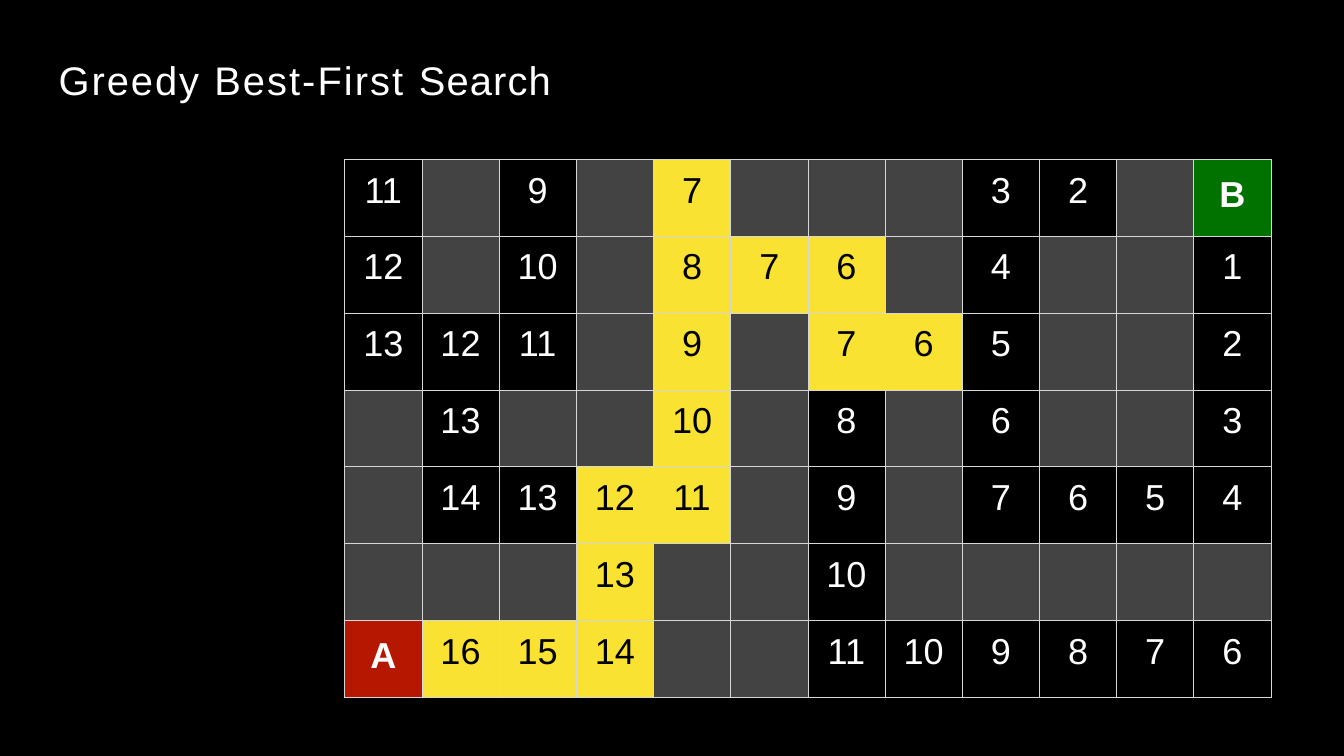
from dataclasses import dataclass

from lxml.etree import SubElement
from pptx import Presentation
from pptx.dml.color import RGBColor
from pptx.enum.text import MSO_ANCHOR as Anchor, PP_ALIGN as Align
from pptx.oxml.ns import qn
from pptx.util import Emu, Inches, Pt

SLIDE_W, SLIDE_H = Inches(21.99), Inches(12.37)
FONT = "Arial"
COLORS = {
    "black": "000000",
    "white": "FFFFFF",
    "wall": "434343",
    "explored": "FAE232",
    "start": "B51700",
    "goal": "017100",
    "grid": "D6D7D6",
}

# "#" is a wall, "*" marks an explored square, numbers are distances to B.
MAZE = """
11  #   9   #   *7  #   #   #   3   2   #   B
12  #   10  #   *8  *7  *6  #   4   #   #   1
13  12  11  #   *9  #   *7  *6  5   #   #   2
#   13  #   #   *10 #   8   #   6   #   #   3
#   14  13  *12 *11 #   9   #   7   6   5   4
#   #   #   *13 #   #   10  #   #   #   #   #
A   *16 *15 *14 #   #   11  10  9   8   7   6
"""


@dataclass(frozen=True)
class Square:
    text: str
    fill: str = "black"
    color: str = "white"
    bold: bool = False
    top: float = 0.18


def to_square(token: str) -> Square:
    if token == "#":
        return Square("", "wall")
    if token.startswith("*"):
        return Square(token[1:], "explored", "black")
    if token in ("A", "B"):
        return Square(token, "start" if token == "A" else "goal", bold=True, top=0.26)
    return Square(token)


def rgb(name: str) -> RGBColor:
    return RGBColor.from_string(COLORS[name])


def add_text(p, text: str, *, size: float, color: str = "white",
             bold: bool = False, spacing: float = 0) -> None:
    """Append a run; spacing is the letter spacing in points."""
    r = p.add_run()
    r.text = text
    r.font.name, r.font.size, r.font.bold = FONT, Pt(size), bold
    r.font.color.rgb = rgb(color)
    if spacing:
        r.font._element.set("spc", str(round(spacing * 100)))


def set_insets(target, top: float) -> None:
    target.margin_left = target.margin_right = target.margin_bottom = 0
    target.margin_top = Inches(top)


def add_borders(cell) -> None:
    tc_pr = cell._tc.get_or_add_tcPr()
    for side in ("lnL", "lnR", "lnT", "lnB"):
        ln = SubElement(tc_pr, qn(f"a:{side}"), w=str(Pt(1)))
        fill = SubElement(ln, qn("a:solidFill"))
        SubElement(fill, qn("a:srgbClr"), val=COLORS["grid"])


def draw_square(cell, square: Square) -> None:
    add_borders(cell)
    cell.fill.solid()
    cell.fill.fore_color.rgb = rgb(square.fill)
    set_insets(cell, square.top)
    cell.vertical_anchor = Anchor.TOP
    if square.text:
        p = cell.text_frame.paragraphs[0]
        p.alignment = Align.CENTER
        add_text(p, square.text, size=42.5, color=square.color, bold=square.bold)


def draw_maze(slide) -> None:
    rows = [[to_square(t) for t in line.split()] for line in MAZE.strip().splitlines()]
    n_rows, n_cols = len(rows), len(rows[0])
    col_w, row_h = Inches(15.16 / n_cols), Inches(8.8 / n_rows)
    table = slide.shapes.add_table(
        n_rows, n_cols, Inches(5.64), Inches(2.61),
        Emu(col_w * n_cols), Emu(row_h * n_rows)).table
    table.first_row = table.horz_banding = False
    for column in table.columns:
        column.width = col_w
    for i, row in enumerate(rows):
        table.rows[i].height = row_h
        for j, square in enumerate(row):
            draw_square(table.cell(i, j), square)


def draw_title(slide) -> None:
    title = slide.shapes.title
    title.left, title.top = Inches(0.96), Inches(0.86)
    title.width, title.height = Inches(8.07), Inches(0.81)
    tf = title.text_frame
    tf.word_wrap = True
    tf.vertical_anchor = Anchor.TOP
    set_insets(tf, 0.05)
    p = tf.paragraphs[0]
    p.alignment = Align.LEFT
    for text, spacing in (("Greedy ", 2.3), ("Best-First ", 2.4), ("Search", 1.4)):
        add_text(p, text, size=47, spacing=spacing)


def main() -> None:
    prs = Presentation()
    prs.slide_width, prs.slide_height = SLIDE_W, SLIDE_H
    slide = prs.slides.add_slide(prs.slide_layouts[5])
    slide.background.fill.solid()
    slide.background.fill.fore_color.rgb = rgb("black")
    draw_maze(slide)
    draw_title(slide)
    prs.save("out.pptx")


if __name__ == "__main__":
    main()
